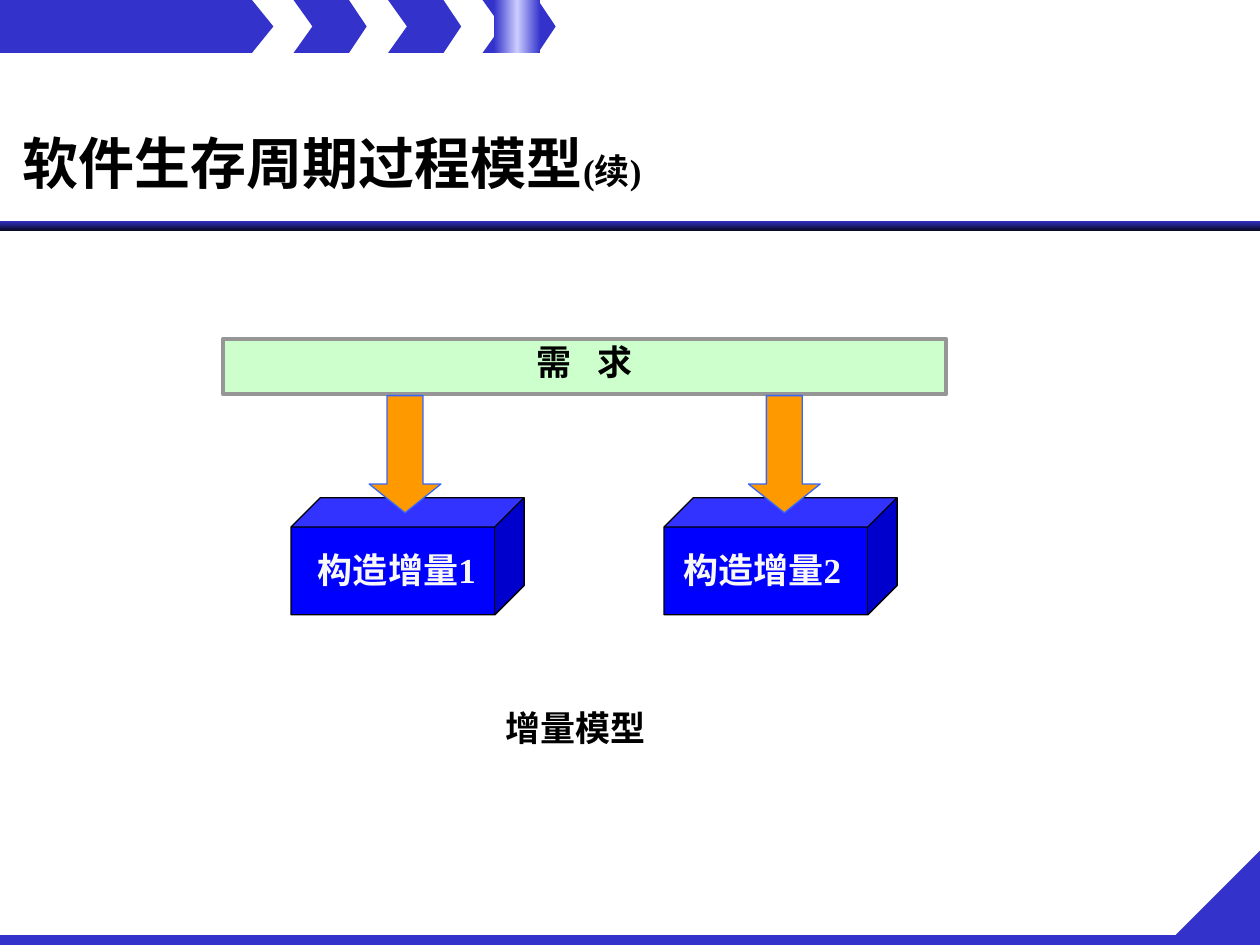
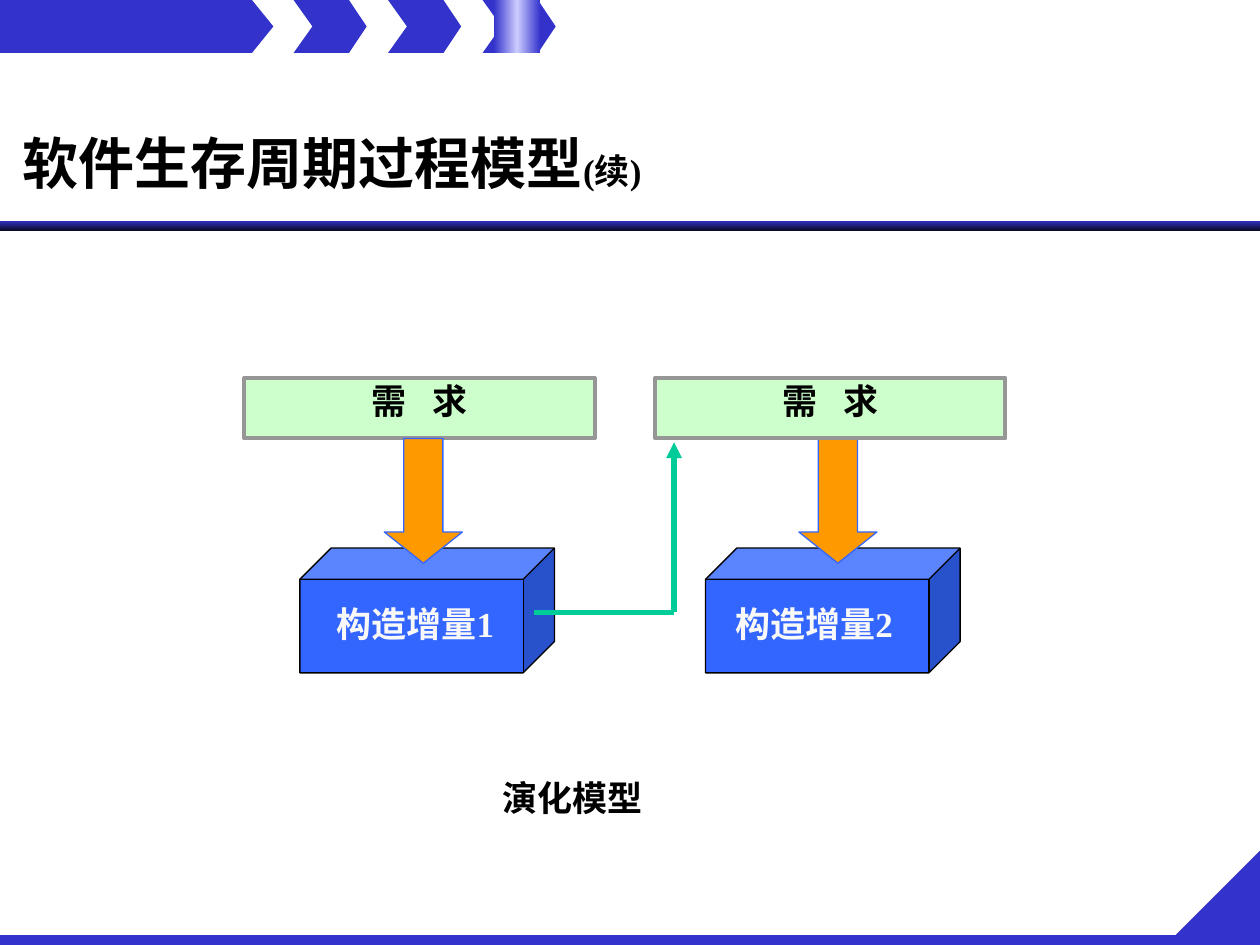
"""Build two slides on the incremental and evolutionary software process models."""
import copy
import dataclasses

import lxml.etree
import pptx
import pptx.dml.color
import pptx.enum.shapes
import pptx.enum.text
import pptx.oxml.ns
import pptx.util

Inches = pptx.util.Inches
Pt = pptx.util.Pt
Shape = pptx.enum.shapes.MSO_SHAPE
Anchor = pptx.enum.text.MSO_ANCHOR
Align = pptx.enum.text.PP_ALIGN
Color = pptx.dml.color.RGBColor.from_string
qn = pptx.oxml.ns.qn


@dataclasses.dataclass(frozen=True)
class Theme:
    font: str = "Times New Roman"
    title_size: int = 32
    body_size: int = 20
    background: str = "FFFFFF"
    band: str = "3333CC"
    band_dark: str = "0A0A29"
    band_light: str = "CCCCFF"
    text: str = "000000"
    label: str = "F8F8F8"
    requirement: str = "CCFFCC"
    requirement_line: str = "969696"
    arrow: str = "FF9900"
    arrow_line: str = "3366FF"
    cube_line: str = "000000"
    feedback: str = "00CC99"


theme = Theme()


def paint(shape, fill, line=None, line_width=0.75):
    shape.shadow.inherit = False
    shape.fill.solid()
    shape.fill.fore_color.rgb = Color(fill)
    if line:
        shape.line.color.rgb = Color(line)
        shape.line.width = Pt(line_width)
    else:
        shape.line.fill.background()


def write(shape, pieces, color=theme.text, align=Align.CENTER, anchor=Anchor.TOP, margins=(0.02, 0.01)):
    frame = shape.text_frame
    frame.word_wrap = True
    frame.vertical_anchor = anchor
    frame.margin_left = frame.margin_right = Inches(margins[0])
    frame.margin_top = frame.margin_bottom = Inches(margins[1])
    paragraph = frame.paragraphs[0]
    paragraph.alignment = align
    paragraph.font.name = theme.font
    paragraph.font.size = Pt(theme.body_size)
    paragraph.font.bold = True
    paragraph.font.color.rgb = Color(color)
    for piece in pieces:
        run = paragraph.add_run()
        run.text = piece
        if piece == " ":
            run._r.get_or_add_rPr().set("spc", "1000")
    return paragraph


presentation = pptx.Presentation()
presentation.slide_width = Inches(10)
presentation.slide_height = Inches(7.5)
layout = presentation.slide_layouts[6]
layout.background.fill.solid()
layout.background.fill.fore_color.rgb = Color(theme.background)
for placeholder in list(layout.placeholders):
    layout.shapes.element.remove(placeholder.element)
slides = [presentation.slides.add_slide(layout) for _ in range(2)]
shapes = slides[0].shapes

outlines = [[(1.5, 0), (2, 0), (2.17, 0.21), (2, 0.42), (1.5, 0.42)]]
for index in range(3):
    left = 2.33 + 0.75 * index
    outlines.append([(left, 0), (left + 0.44, 0), (left + 0.58, 0.21),
                     (left + 0.44, 0.42), (left, 0.42), (left + 0.15, 0.21)])
for outline in outlines:
    points = [(Inches(x), Inches(y)) for x, y in outline]
    builder = shapes.build_freeform(*points[0])
    builder.add_line_segments(points[1:], close=True)
    paint(builder.convert_to_shape(), theme.band)

bands = [
    (Shape.RECTANGLE, (0, 0, 1.5, 0.42), 0),
    (Shape.RIGHT_TRIANGLE, (9.25, 6.75, 0.75, 0.75), 270),
    (Shape.FLOWCHART_PROCESS, (0, 7.42, 10, 0.08), 0),
]
for kind, box, rotation in bands:
    band = shapes.add_shape(kind, *map(Inches, box))
    band.rotation = rotation
    paint(band, theme.band)

gradients = [
    ((0, 1.75, 10, 0.08), (theme.band, theme.band_dark), 270),
    ((3.92, 0, 0.37, 0.42), (theme.band, theme.band_light, theme.band), 0),
]
for box, colors, angle in gradients:
    band = shapes.add_shape(Shape.RECTANGLE, *map(Inches, box))
    paint(band, theme.band)
    band.fill.gradient()
    band.fill.gradient_angle = angle
    stop_list = band.element.spPr.find(".//" + qn("a:gsLst"))
    while len(stop_list) < len(colors):
        stop_list.append(copy.deepcopy(stop_list[0]))
    for index, stop in enumerate(band.fill.gradient_stops):
        stop.color.rgb = Color(colors[index])
        stop_list[index].set("pos", str(100000 * index // (len(colors) - 1)))

for band in list(shapes):
    layout.shapes.element.append(band.element)

requirement = ("需", " ", "求")
diagrams = [
    ("0000FF", [
        ("cube", (2.31, 3.95, 1.85, 0.93), ()),
        ("cube", (5.27, 3.95, 1.85, 0.93), ()),
        ("requirement", (1.77, 2.69, 5.74, 0.44), requirement),
        ("text", (2.72, 5.6, 3.7, 0.44), ("增量模型",)),
        ("arrow", (2.93, 3.14, 0.57, 0.93), ()),
        ("arrow", (5.94, 3.14, 0.57, 0.93), ()),
        ("label", (2.33, 4.34, 1.64, 0.4), ("构造增量1",)),
        ("label", (5.23, 4.34, 1.64, 0.4), ("构造增量2",)),
    ]),
    ("3366FF", [
        ("requirement", (1.94, 3, 2.78, 0.48), requirement),
        ("cube", (2.38, 4.35, 2.02, 0.99), ()),
        ("arrow", (3.05, 3.48, 0.62, 0.99), ()),
        ("label", (2.4, 4.77, 1.79, 0.43), ("构造增量1",)),
        ("cube", (5.6, 4.35, 2.02, 0.99), ()),
        ("arrow", (6.34, 3.48, 0.62, 0.99), ()),
        ("label", (5.56, 4.77, 1.8, 0.43), ("构造增量2",)),
        ("requirement", (5.2, 3, 2.78, 0.48), requirement),
        ("text", (2.36, 6.15, 4.37, 0.44), ("演化模型",)),
    ]),
]
for slide, (cube_color, parts) in zip(slides, diagrams):
    title = slide.shapes.add_textbox(*map(Inches, (0.08, 0.84, 5.5, 0.9)))
    paragraph = write(title, ("软件生存周期过程模型", "(续)"), align=Align.LEFT,
                      anchor=Anchor.MIDDLE, margins=(0.1, 0.05))
    paragraph.runs[0].font.size = Pt(theme.title_size)
    styles = {
        "cube": (Shape.CUBE, cube_color, theme.cube_line, 0.75),
        "arrow": (Shape.DOWN_ARROW, theme.arrow, theme.arrow_line, 0.75),
        "requirement": (Shape.RECTANGLE, theme.requirement, theme.requirement_line, 2.25),
    }
    for role, box, pieces in parts:
        if role in styles:
            kind, *style = styles[role]
            shape = slide.shapes.add_shape(kind, *map(Inches, box))
            paint(shape, *style)
            if role == "arrow":
                shape.adjustments[1] = 0.4
        else:
            shape = slide.shapes.add_textbox(*map(Inches, box))
        if pieces:
            write(shape, pieces, theme.label if role == "label" else theme.text)

feedback_points = [(4.24, 4.86), (5.35, 4.86), (5.35, 3.51)]
for start, end in zip(feedback_points, feedback_points[1:]):
    connector = slides[1].shapes.add_connector(
        pptx.enum.shapes.MSO_CONNECTOR.STRAIGHT, *map(Inches, start + end))
    connector.line.color.rgb = Color(theme.feedback)
    connector.line.width = Pt(3)
    if end == feedback_points[-1]:
        line_element = connector.element.spPr.find(qn("a:ln"))
        lxml.etree.SubElement(line_element, qn("a:tailEnd"), type="triangle")
    lxml.etree.SubElement(connector.element.spPr, qn("a:effectLst"))

presentation.save("out.pptx")
